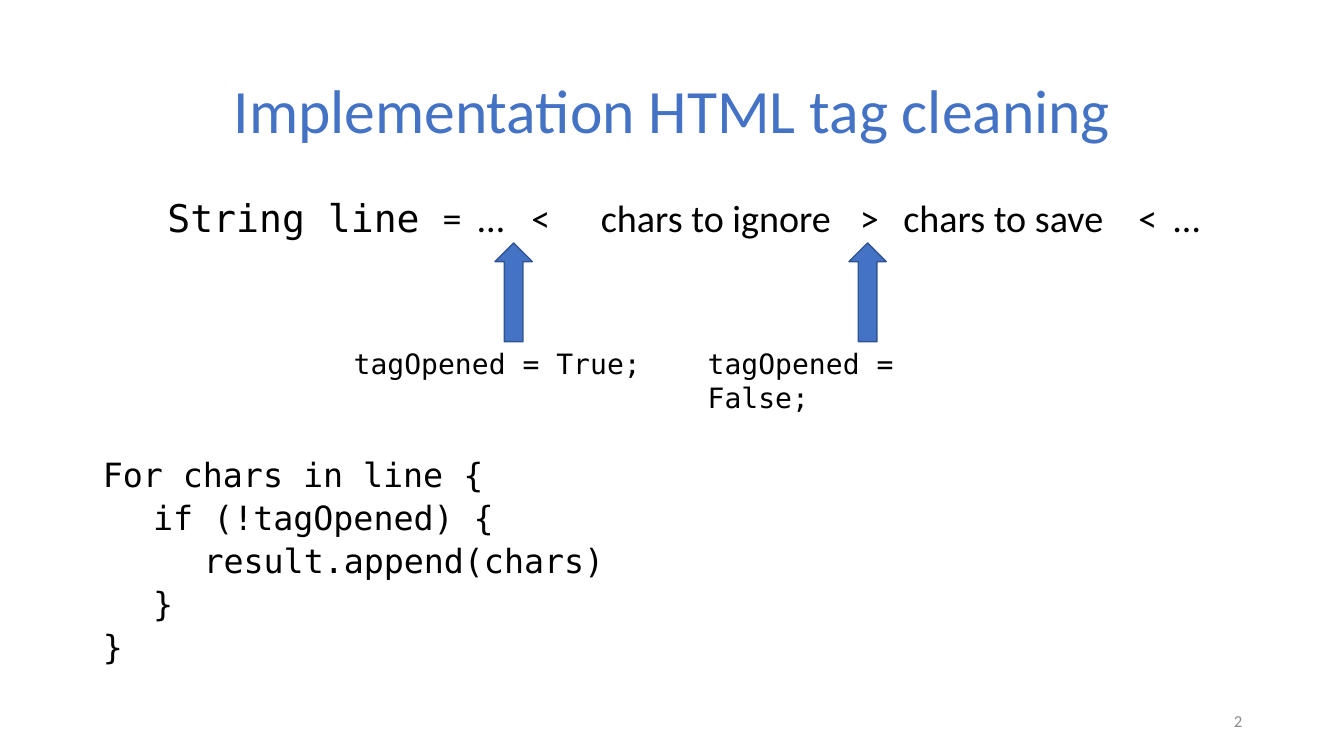
from lxml.etree import SubElement
from pptx import Presentation
from pptx.dml.color import RGBColor
from pptx.enum.shapes import MSO_SHAPE as Shape
from pptx.enum.text import MSO_ANCHOR as Anchor, PP_ALIGN as Align
from pptx.oxml.ns import qn
from pptx.util import Inches, Pt

TITLE = "Implementation HTML tag cleaning"
LINE_PARTS = [
    ("String line", 1.66), ("=", 4.39), ("…", 4.74), ("<", 5.27),
    ("chars to ignore", 5.96), (">", 8.53), ("chars to save", 8.96),
    ("<", 11.29), ("…", 11.64),
]
FLAGS = [("tagOpened = True;", 3.41, 3.36), ("tagOpened = False;", 6.92, 2.98)]
CODE = [
    (0, "For chars in line {"),
    (1, "if (!tagOpened) {"),
    (2, "result.append(chars)"),
    (1, "}"),
    (0, "}"),
]
PAGE = "2"

COLORS = {"accent": "4472C4", "edge": "325491", "ink": "000000", "muted": "8C8C8C"}
SANS, MONO = "Calibri", "DejaVu Sans Mono"
WIDTH, HEIGHT = 13.33, 7.5
MARGIN, CONTENT = 0.92, 11.5
ARROW_WIDTH, ARROW_HEIGHT, ARROW_TOP, ARROW_INDENT = 0.37, 0.98, 2.41, 1.5
TIGHT = 0.7


def color(key):
    return RGBColor.from_string(COLORS[key])


def style(run, size, font, ink="ink"):
    run.font.size = Pt(size)
    run.font.name = font
    run.font.color.rgb = color(ink)


def add_text(shapes, box, lines, size, font, ink="ink", align=Align.LEFT,
             anchor=Anchor.TOP, spacing=1.0, gap=0, inset=True):
    frame = shapes.add_textbox(*map(Inches, box)).text_frame
    frame.word_wrap = True
    frame.vertical_anchor = anchor
    if not inset:
        frame.margin_left = frame.margin_right = 0
        frame.margin_top = frame.margin_bottom = 0
    frame.text = "\n".join(lines)
    for index, paragraph in enumerate(frame.paragraphs):
        paragraph.alignment = align
        paragraph.line_spacing = spacing
        paragraph.space_before = Pt(gap if index else 0)
        for run in paragraph.runs:
            style(run, size, font, ink)
    return frame


def add_line_parts(shapes):
    start = LINE_PARTS[0][1]
    box = (start, 2.05, WIDTH - start, 0.4)
    text = "\t".join(part for part, _ in LINE_PARTS)
    frame = add_text(shapes, box, [text], 27.2, SANS, spacing=TIGHT, inset=False)
    paragraph = frame.paragraphs[0]
    stops = SubElement(paragraph._p.get_or_add_pPr(), qn("a:tabLst"))
    for _, left in LINE_PARTS[1:]:
        SubElement(stops, qn("a:tab"), pos=str(Inches(left - start)), algn="l")
    declaration, rest = paragraph.runs[0], paragraph.add_run()
    name = LINE_PARTS[0][0]
    declaration.text, rest.text = name, text[len(name):]
    style(declaration, 27.2, MONO)
    style(rest, 27.2, SANS)


def add_flag(shapes, label, left, width):
    group = shapes.add_group_shape().shapes
    arrow = group.add_shape(
        Shape.UP_ARROW, Inches(left + ARROW_INDENT), Inches(ARROW_TOP),
        Inches(ARROW_WIDTH), Inches(ARROW_HEIGHT))
    arrow.shadow.inherit = False
    arrow.fill.solid()
    arrow.fill.fore_color.rgb = color("accent")
    arrow.line.color.rgb = color("edge")
    arrow.line.width = Pt(1)
    box = (left, ARROW_TOP + ARROW_HEIGHT, width, 0.44)
    add_text(group, box, [label], 20, MONO)


def main():
    deck = Presentation()
    deck.slide_width, deck.slide_height = Inches(WIDTH), Inches(HEIGHT)
    shapes = deck.slides.add_slide(deck.slide_layouts[6]).shapes
    add_text(shapes, (MARGIN, 0.4, CONTENT, 1.45), [TITLE], 44, SANS, "accent",
             Align.CENTER, Anchor.MIDDLE, 0.9)
    add_line_parts(shapes)
    for flag in FLAGS:
        add_flag(shapes, *flag)
    code_lines = ["\t" * depth + line for depth, line in CODE]
    add_text(shapes, (MARGIN + 0.1, 4.61, CONTENT - 0.2, 2.15), code_lines,
             23.8, MONO, spacing=TIGHT, gap=10.75, inset=False)
    add_text(shapes, (MARGIN + CONTENT - 3, 6.95, 3, 0.4), [PAGE], 12, SANS,
             "muted", Align.RIGHT, Anchor.MIDDLE)
    deck.save("out.pptx")


if __name__ == "__main__":
    main()
